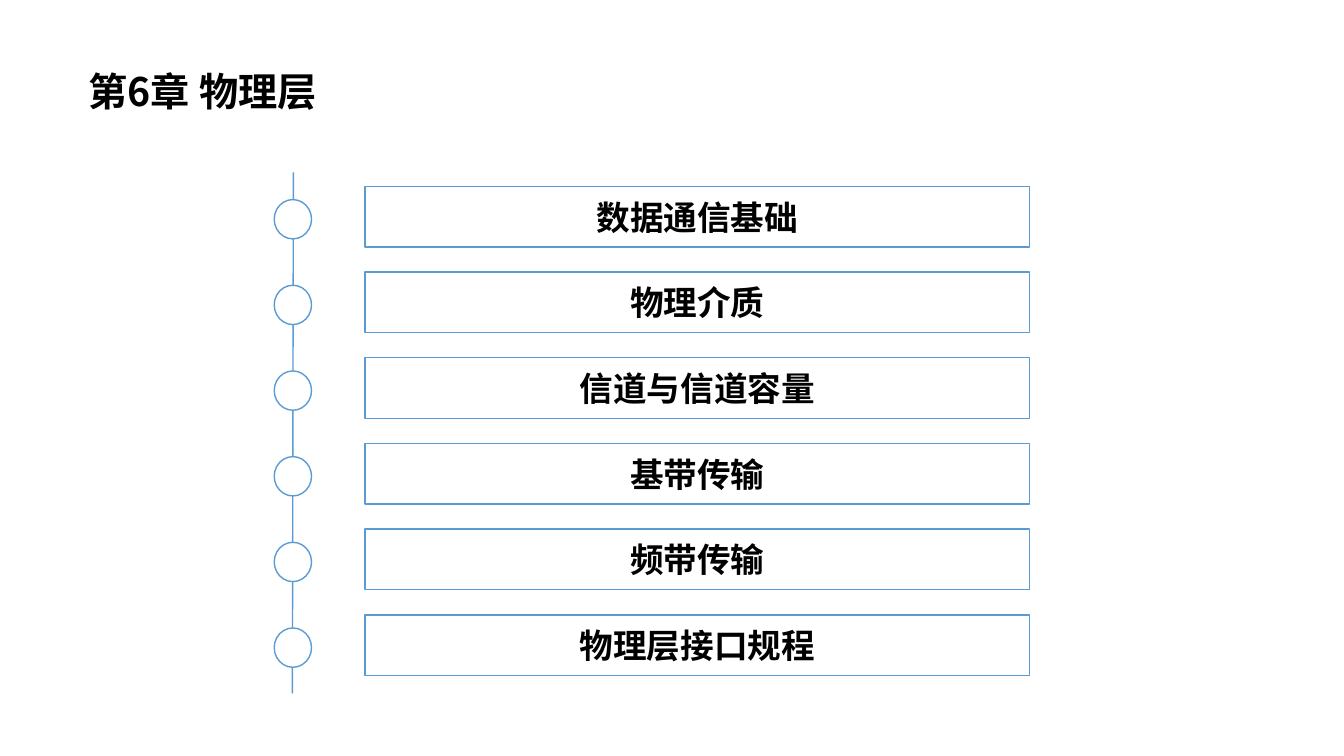
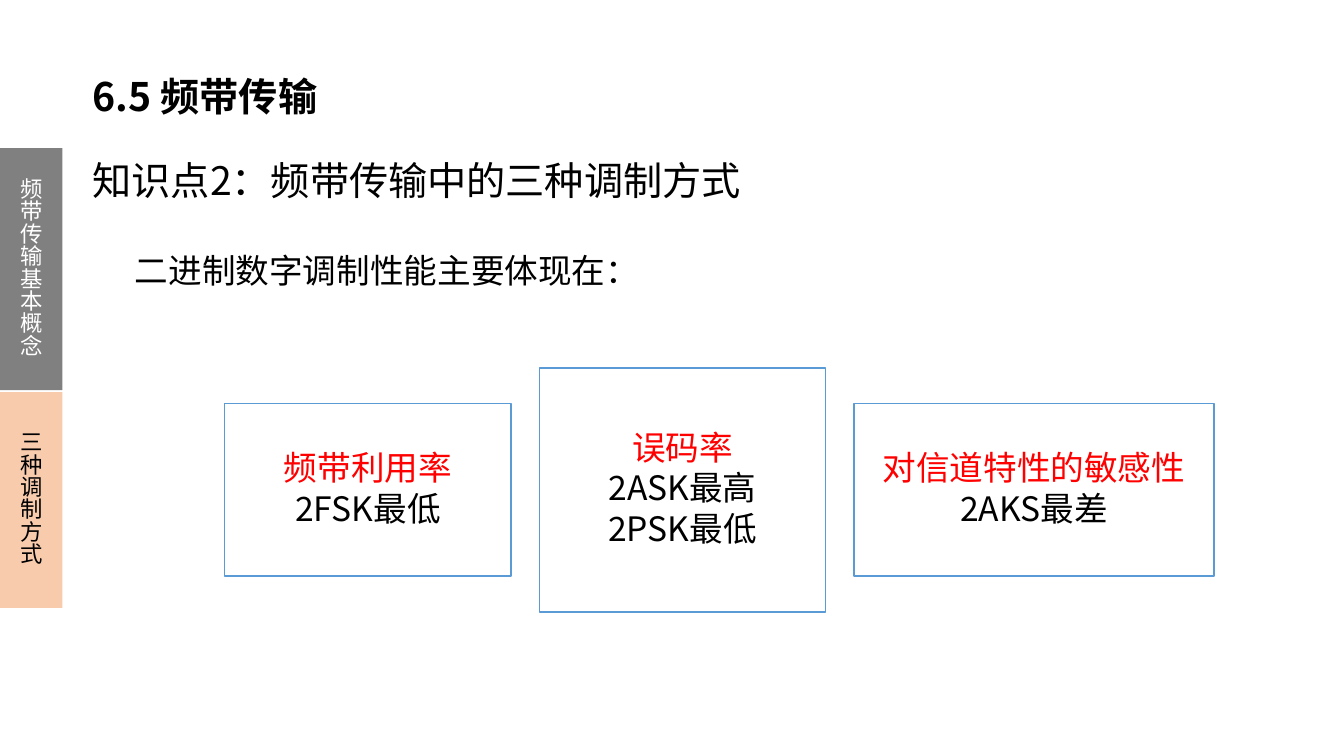
from dataclasses import dataclass

from lxml.etree import SubElement
from pptx import Presentation
from pptx.dml.color import RGBColor as Rgb
from pptx.enum.shapes import MSO_CONNECTOR as Connector, MSO_SHAPE as Shape
from pptx.enum.text import MSO_ANCHOR as Anchor, MSO_AUTO_SIZE as AutoSize, PP_ALIGN as Align
from pptx.oxml.ns import qn
from pptx.util import Inches, Pt


@dataclass(frozen=True)
class Theme:
    font: str = "Noto Sans CJK SC"
    black: Rgb = Rgb(0x00, 0x00, 0x00)
    white: Rgb = Rgb(0xFF, 0xFF, 0xFF)
    blue: Rgb = Rgb(0x5B, 0x9B, 0xD5)
    red: Rgb = Rgb(0xFF, 0x00, 0x00)
    gray: Rgb = Rgb(0x80, 0x80, 0x80)
    peach: Rgb = Rgb(0xF8, 0xCB, 0xAD)
    heading: Pt = Pt(28)
    body: Pt = Pt(24)
    tab: Pt = Pt(16)
    outline: Pt = Pt(1)


THEME = Theme()

CHAPTER_TOPICS = ["数据通信基础", "物理介质", "信道与信道容量", "基带传输", "频带传输", "物理层接口规程"]
SECTION_TABS = [
    ("频带传输基本概念", 1.47, 2.4, THEME.gray, THEME.white),
    ("三种调制方式", 3.89, 2.14, THEME.peach, THEME.black),
]
PERFORMANCE_CARDS = [
    (2.84, 1.71, ["频带利用率", "2FSK最低"]),
    (2.84, 2.42, ["误码率", "2ASK最高", "2PSK最低"]),
    (3.57, 1.71, ["对信道特性的敏感性", "2AKS最差"]),
]


def style_paragraph(para, size, color=THEME.black, bold=False, align=Align.LEFT, spacing=None):
    para.alignment = align
    if spacing is not None:
        para.line_spacing = spacing
    font = para.font
    font.size, font.bold, font.name = size, bold, THEME.font
    font.color.rgb = color
    properties = para._p.pPr.find(qn("a:defRPr"))
    SubElement(properties, qn("a:ea"), typeface=THEME.font)


def write_line(frame, text, size, **style):
    frame.word_wrap = True
    para = frame.paragraphs[0]
    para.text = text
    style_paragraph(para, size, **style)


def add_title(page, text, left, top):
    title = page.shapes.title
    title.left, title.top = Inches(left), Inches(top)
    title.width, title.height = Inches(9.65), Inches(0.85)
    frame = title.text_frame
    frame.auto_size = AutoSize.NONE
    frame.vertical_anchor = Anchor.MIDDLE
    write_line(frame, text, THEME.heading, bold=True)


def add_box(page, kind, left, top, width, height, fill=THEME.white, line=THEME.blue):
    box = page.shapes.add_shape(kind, Inches(left), Inches(top), Inches(width), Inches(height))
    box.shadow.inherit = False
    box.fill.solid()
    box.fill.fore_color.rgb = fill
    if line is None:
        box.line.fill.background()
    else:
        box.line.color.rgb = line
        box.line.width = THEME.outline
    box.text_frame.vertical_anchor = Anchor.MIDDLE
    return box


def add_text(page, text, left, top, width, height, size, spacing):
    box = page.shapes.add_textbox(Inches(left), Inches(top), Inches(width), Inches(height))
    box.text_frame.vertical_anchor = Anchor.MIDDLE
    write_line(box.text_frame, text, size, spacing=spacing)


def add_timeline(page, topics):
    axis = page.shapes.add_connector(
        Connector.STRAIGHT, Inches(2.91), Inches(1.71), Inches(2.9), Inches(6.88))
    axis.line.color.rgb = THEME.blue
    axis.line.width = THEME.outline
    SubElement(axis._element.spPr, qn("a:effectLst"))
    for index, topic in enumerate(topics):
        top = 1.85 + 0.85 * index
        add_box(page, Shape.OVAL, 2.72, top + 0.13, 0.37, 0.39)
        box = add_box(page, Shape.RECTANGLE, 3.62, top, 6.59, 0.6)
        write_line(box.text_frame, topic, THEME.body, bold=True, align=Align.CENTER)


def add_tabs(page, tabs):
    for text, top, height, fill, color in tabs:
        tab = add_box(page, Shape.RECTANGLE, 0, top, 0.62, height, fill, line=None)
        write_line(tab.text_frame, text, THEME.tab, color=color,
                   align=Align.CENTER, spacing=Pt(16))


def add_cards(page, cards, left=2.23, middle=4.86, gap=0.28):
    for width, height, lines in cards:
        card = add_box(page, Shape.RECTANGLE, left, middle - height / 2, width, height)
        frame = card.text_frame
        frame.word_wrap = True
        frame.text = "\n".join(lines)
        for index, para in enumerate(frame.paragraphs):
            para.space_after = Pt(3)
            color = THEME.black if index else THEME.red
            style_paragraph(para, THEME.body, color, align=Align.CENTER, spacing=0.9)
        left += width + gap


def build_chapter(page):
    add_title(page, "第6章 物理层", 0.78, 0.48)
    add_timeline(page, CHAPTER_TOPICS)


def build_modulation(page):
    add_title(page, "6.5 频带传输", 0.82, 0.53)
    add_text(page, "知识点2：频带传输中的三种调制方式",
             0.82, 1.15, 12.16, 1.04, THEME.heading, 1.5)
    add_text(page, "二进制数字调制性能主要体现在：",
             1.24, 2.34, 10.94, 0.57, THEME.body, Pt(37))
    add_cards(page, PERFORMANCE_CARDS)
    add_tabs(page, SECTION_TABS)


def main():
    deck = Presentation()
    deck.slide_width, deck.slide_height = Inches(13.33), Inches(7.5)
    title_only = deck.slide_layouts[5]
    for build in (build_chapter, build_modulation):
        build(deck.slides.add_slide(title_only))
    deck.save("out.pptx")


if __name__ == "__main__":
    main()
